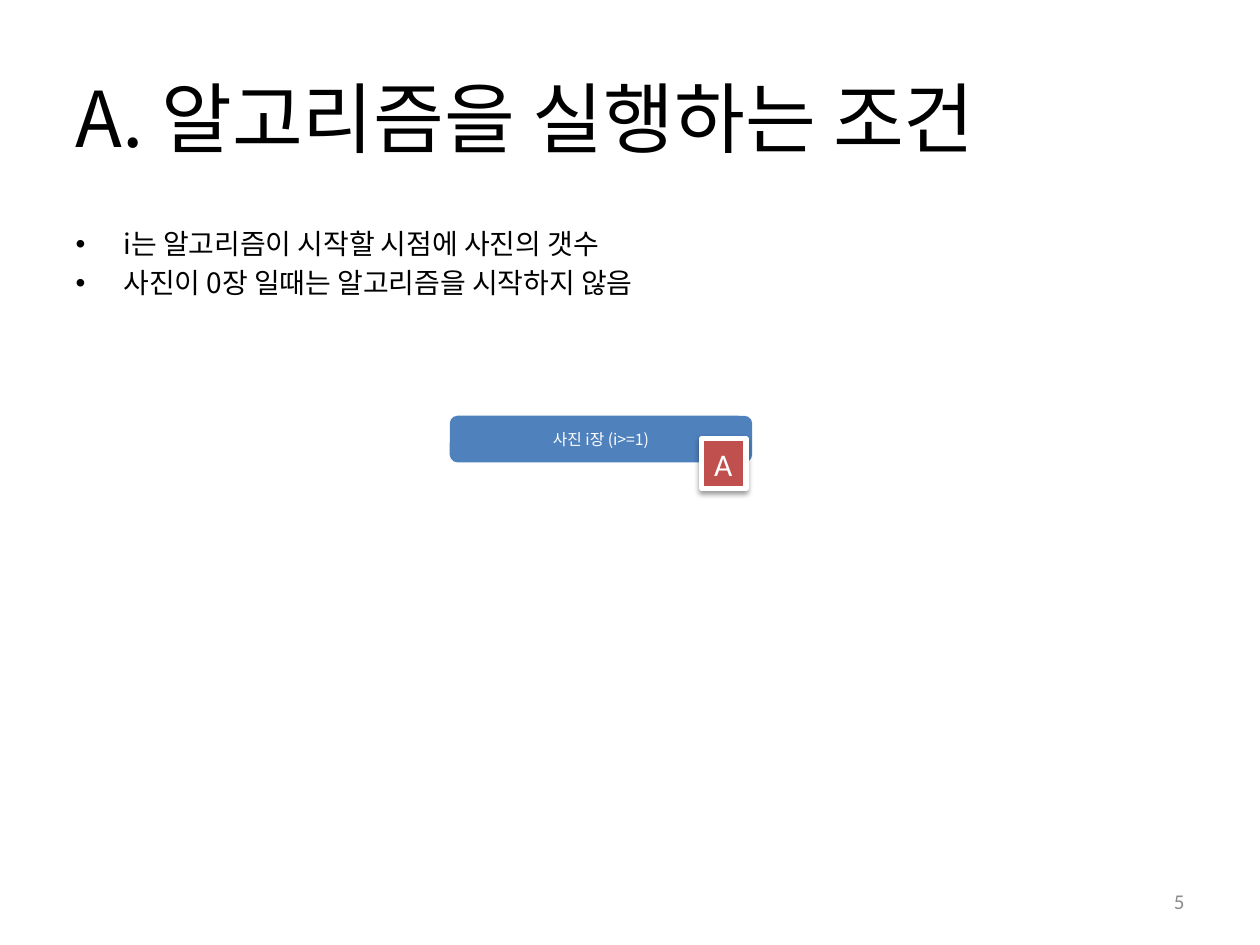
import pptx
import pptx.util
import pptx.dml.color
import pptx.enum.shapes
import pptx.enum.text
import pptx.oxml
import pptx.oxml.ns
import lxml.etree

Inches = pptx.util.Inches
Align = pptx.enum.text.PP_ALIGN
Anchor = pptx.enum.text.MSO_ANCHOR
Shape = pptx.enum.shapes.MSO_SHAPE
KOREAN, LATIN = "Noto Sans CJK KR", "Calibri"


def color(value):
    return pptx.dml.color.RGBColor.from_string(value)


def write(box, lines, size, font, ink, align, frame_format):
    frame = box.text_frame
    for name, value in frame_format.items():
        setattr(frame, name, value)
    frame.text = "\n".join(lines)
    for para in frame.paragraphs:
        para.alignment = align
        for span in para.runs:
            span.font.size = pptx.util.Pt(size)
            span.font.name = font
            span.font.color.rgb = color(ink)
            east_asian = lxml.etree.SubElement(span.font._element, pptx.oxml.ns.qn("a:ea"))
            east_asian.set("typeface", font)


deck = pptx.Presentation()
deck.slide_width, deck.slide_height = Inches(10), Inches(7.5)
page = deck.slides.add_slide(deck.slide_layouts[1])
title, body = page.placeholders
number = page.shapes.add_textbox(0, 0, 0, 0)
photos = page.shapes.add_shape(Shape.ROUNDED_RECTANGLE, 0, 0, 0, 0)
badge = page.shapes.add_shape(Shape.RECTANGLE, 0, 0, 0, 0)

# Positions
places = [
    (title, 0.5, 0.3, 9, 1.25),
    (body, 0.5, 1.75, 9.1, 1.07),
    (number, 7.17, 6.95, 2.33, 0.4),
    (photos, 3.57, 3.3, 2.4, 0.37),
    (badge, 5.57, 3.48, 0.35, 0.4),
]
for box, left, top, width, height in places:
    box.left, box.top = Inches(left), Inches(top)
    box.width, box.height = Inches(width), Inches(height)

# Text
fixed = {"auto_size": pptx.enum.text.MSO_AUTO_SIZE.NONE, "word_wrap": True}
middle = {**fixed, "vertical_anchor": Anchor.MIDDLE}
growing = {
    "auto_size": pptx.enum.text.MSO_AUTO_SIZE.SHAPE_TO_FIT_TEXT,
    "word_wrap": False,
    "vertical_anchor": Anchor.TOP,
}
conditions = ["i는 알고리즘이 시작할 시점에 사진의 갯수", "사진이 0장 일때는 알고리즘을 시작하지 않음"]
write(title, ["A. 알고리즘을 실행하는 조건"], 44, KOREAN, "000000", Align.LEFT, middle)
write(body, conditions, 16, KOREAN, "000000", Align.LEFT, fixed)
write(number, ["5"], 12, LATIN, "8C8C8C", Align.RIGHT, middle)
write(photos, ["사진 i장 (i>=1)"], 9, KOREAN, "FFFFFF", Align.CENTER, middle)
write(badge, ["A"], 18, LATIN, "FFFFFF", Align.LEFT, growing)

# Hanging indent of the list
for para in body.text_frame.paragraphs:
    properties = para._p.get_or_add_pPr()
    properties.set("marL", str(Inches(0.38)))
    properties.set("indent", str(Inches(-0.38)))

# Fills and outlines
for box, fill in [(photos, "4F81BD"), (badge, "C0504D")]:
    box.fill.solid()
    box.fill.fore_color.rgb = color(fill)
    box.shadow.inherit = False
photos.line.fill.background()
badge.line.color.rgb = color("FFFFFF")
badge.line.width = pptx.util.Pt(3)

# Soft shadow under the badge
effects = badge._element.spPr.find(pptx.oxml.ns.qn("a:effectLst"))
effects.append(pptx.oxml.parse_xml(
    f'<a:outerShdw {pptx.oxml.ns.nsdecls("a")} blurRad="{pptx.util.Pt(3.1)}" '
    f'dist="{pptx.util.Pt(1.6)}" dir="5400000" rotWithShape="0">'
    '<a:srgbClr val="000000"><a:alpha val="38000"/></a:srgbClr></a:outerShdw>'
))

deck.save("out.pptx")
